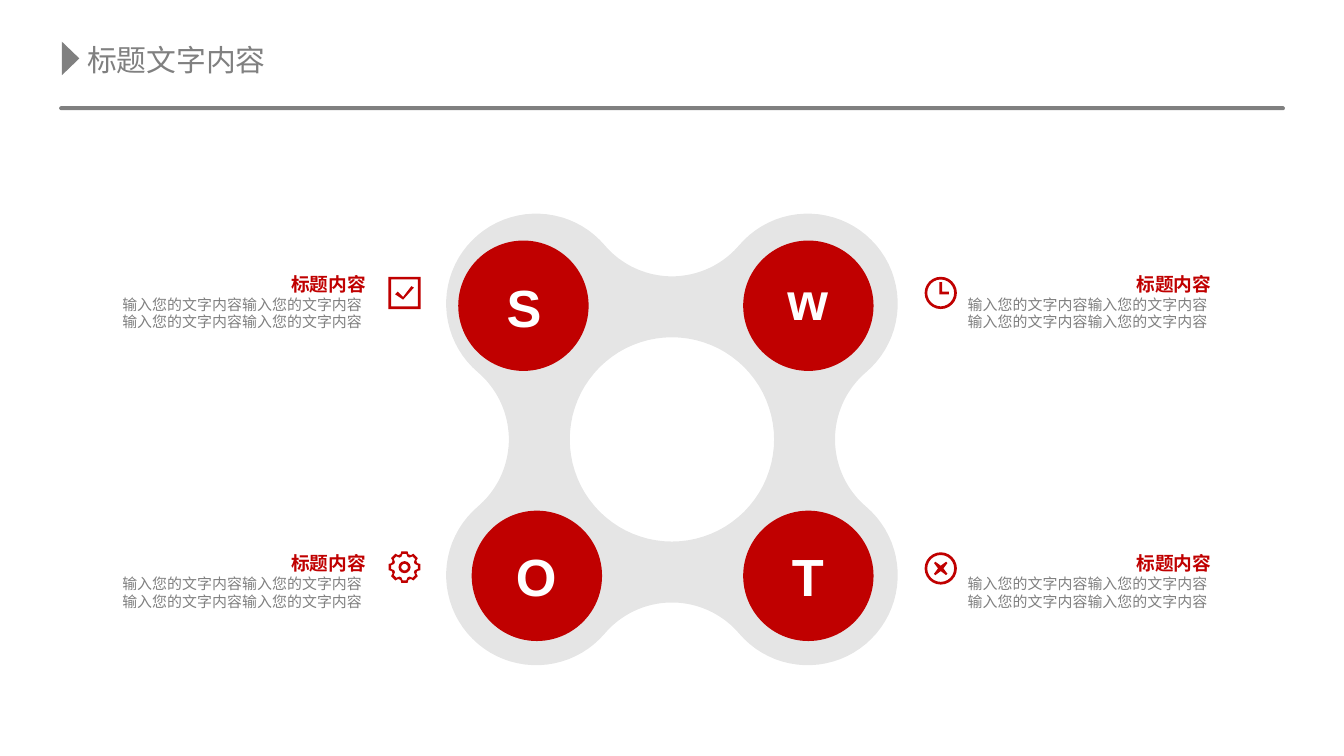
from dataclasses import dataclass
from math import atan2, cos, degrees, hypot, radians, sin
from typing import NamedTuple

from lxml.etree import SubElement
from pptx import Presentation
from pptx.dml.color import RGBColor
from pptx.enum.shapes import MSO_SHAPE
from pptx.enum.text import PP_ALIGN
from pptx.oxml.ns import qn
from pptx.util import Inches, Pt

OVAL, DONUT = MSO_SHAPE.OVAL, MSO_SHAPE.DONUT
ARROW, BAR = MSO_SHAPE.ISOSCELES_TRIANGLE, MSO_SHAPE.ROUNDED_RECTANGLE
FRAME = MSO_SHAPE.FRAME
LEFT, MID, RIGHT = PP_ALIGN.LEFT, PP_ALIGN.CENTER, PP_ALIGN.RIGHT


@dataclass(frozen=True)
class Theme:
    red: str = "C00000"
    gray: str = "808080"
    black: str = "000000"
    white: str = "FFFFFF"
    latin: str = "Arial"
    han: str = "Noto Sans CJK SC"
    title: int = 16
    letter: int = 28
    head: int = 10
    body: int = 8


class Spot(NamedTuple):
    """One SWOT letter: disc corner, then letter box."""
    letter: str
    x: float
    y: float
    text_x: float
    text_y: float
    width: float


class Note(NamedTuple):
    x: float
    y: float


T = Theme()
SPOTS = [
    Spot("S", 3.41, 1.79, 3.67, 2, 0.46),
    Spot("w", 5.53, 1.79, 5.76, 1.95, 0.5),
    Spot("O", 3.51, 3.8, 3.74, 4, 0.5),
    Spot("T", 5.53, 3.8, 5.79, 4, 0.44),
]
NOTES = [Note(x, y) for x in (0.91, 7.2) for y in (2.03, 4.11)]
HEAD = "标题内容"
BODY = "输入您的文字内容输入您的文字内容"
DISC, ICON = 0.97, 0.24
Points = list[tuple[float, float]]


def paint(shape, color: str) -> None:
    shape.shadow.inherit = False
    shape.fill.solid()
    shape.fill.fore_color.rgb = RGBColor.from_string(color)
    shape.line.fill.background()


def block(shapes, kind, x: float, y: float, w: float, h: float, color: str):
    shape = shapes.add_shape(kind, Inches(x), Inches(y), Inches(w), Inches(h))
    paint(shape, color)
    return shape


def outline(shapes, x: float, y: float, color: str, *loops: Points):
    """Fill closed loops given in inches around the point x, y."""
    pen = None
    for loop in loops:
        spots = [(Inches(x + a), Inches(y + b)) for a, b in loop]
        if pen is None:
            pen = shapes.build_freeform(*spots[0])
        else:
            pen.move_to(*spots[0])
        pen.add_line_segments(spots[1:], close=True)
    shape = pen.convert_to_shape()
    paint(shape, color)
    return shape


def ring(shapes, x: float, y: float, size: float, band: float = 0.02) -> None:
    shape = block(shapes, DONUT, x - size / 2, y - size / 2, size, size, T.red)
    shape.adjustments[0] = band / size


def arc(x: float, y: float, r: float, start: float, end: float, steps: int = 40) -> Points:
    turns = [radians(start + (end - start) * i / steps) for i in range(steps + 1)]
    return [(x + r * cos(t), y + r * sin(t)) for t in turns]


def spin(part: Points, count: int) -> Points:
    """Repeat a part at equal turns about the origin."""
    turns = [radians(360 * i / count) for i in range(count)]
    return [(a * cos(t) - b * sin(t), a * sin(t) + b * cos(t)) for t in turns for a, b in part]


def cog(tip: float, root: float, half: float, foot: float) -> Points:
    polar = [(root, -foot), (tip, -half), (tip, half), (root, foot)]
    return spin([(r * cos(radians(d)), r * sin(radians(d))) for r, d in polar], 8)


def write(shapes, x: float, y: float, w: float, h: float, lines, wrap=True, inset=None) -> None:
    """Lines hold text, size, colour, latin font, bold and alignment."""
    frame = shapes.add_textbox(Inches(x), Inches(y), Inches(w), Inches(h)).text_frame
    frame.word_wrap = wrap
    if inset is not None:
        frame.margin_left = frame.margin_right = Inches(inset)
        frame.margin_top = frame.margin_bottom = Inches(inset)
    for i, (text, size, color, face, bold, align) in enumerate(lines):
        para = frame.add_paragraph() if i else frame.paragraphs[0]
        para.text, para.alignment = text, align
        font = para.font
        font.size, font.bold, font.name = Pt(size), bold, face
        font.color.rgb = RGBColor.from_string(color)
        SubElement(para._p.pPr.find(qn("a:defRPr")), qn("a:ea"), typeface=T.han)


def draw_title(shapes) -> None:
    write(shapes, 0.55, 0.26, 1.66, 0.37,
          [("标题文字内容", T.title, T.gray, T.han, False, LEFT)], wrap=False)
    block(shapes, ARROW, 0.4, 0.37, 0.25, 0.13, T.gray).rotation = 90
    block(shapes, BAR, 0.44, 0.79, 9.12, 0.03, T.gray).adjustments[0] = 0.5


def draw_base(shapes) -> None:
    """Four lobes joined by tangent waists, with a round hole."""
    lobe, reach, waist = 1.01, 0.67, 1.87
    bend = hypot(waist - lobe, lobe) - reach
    tilt = degrees(atan2(lobe, waist - lobe))
    part = arc(lobe, lobe, reach, -tilt, 90 + tilt)
    part += arc(0, waist, bend, tilt - 90, -90 - tilt)
    base = outline(shapes, 5, 3.27, T.black, spin(part, 4), arc(0, 0, 0.76, 360, 0, 80))
    color = base._element.spPr.find(".//" + qn("a:srgbClr"))
    SubElement(color, qn("a:alpha"), val="10000")


def draw_icons(shapes) -> None:
    # cross
    ring(shapes, 7, 4.23, ICON)
    outline(shapes, 7, 4.23, T.red, spin([(0.02, 0), (0.05, 0.04), (0.04, 0.05)], 4))
    # check box
    block(shapes, FRAME, 2.89, 2.06, ICON, ICON, T.red).adjustments[0] = 0.02 / ICON
    outline(shapes, 3.01, 2.18, T.red,
            [(0.07, -0.04), (0.05, -0.05), (-0.01, 0.03), (-0.05, -0.01), (-0.07, 0.01), (-0.01, 0.05)])
    # gear
    outline(shapes, 3.01, 4.22, T.red, cog(0.12, 0.1, 11, 17), cog(0.1, 0.08, 8, 17))
    ring(shapes, 3.01, 4.22, 0.09)
    # clock
    ring(shapes, 7, 2.18, ICON)
    outline(shapes, 7, 2.18, T.red,
            [(-0.01, -0.08), (0.01, -0.08), (0.01, -0.01), (0.06, -0.01), (0.06, 0.01), (-0.01, 0.01)])


def main() -> None:
    deck = Presentation()
    deck.slide_width, deck.slide_height = Inches(10), Inches(10 * 9 / 16)
    shapes = deck.slides.add_slide(deck.slide_layouts[6]).shapes
    draw_title(shapes)
    draw_base(shapes)
    for spot in SPOTS:
        block(shapes, OVAL, spot.x, spot.y, DISC, DISC, T.red)
    for spot in SPOTS:
        write(shapes, spot.text_x, spot.text_y, spot.width, 0.57,
              [(spot.letter, T.letter, T.white, T.latin, True, MID)], wrap=False)
    draw_icons(shapes)
    head = (HEAD, T.head, T.red, T.latin, True, RIGHT)
    body = (BODY, T.body, T.gray, T.han, False, LEFT)
    for note in NOTES:
        write(shapes, note.x, note.y, 1.81, 0.57, [head, body, body], inset=0)
    deck.save("out.pptx")


if __name__ == "__main__":
    main()
